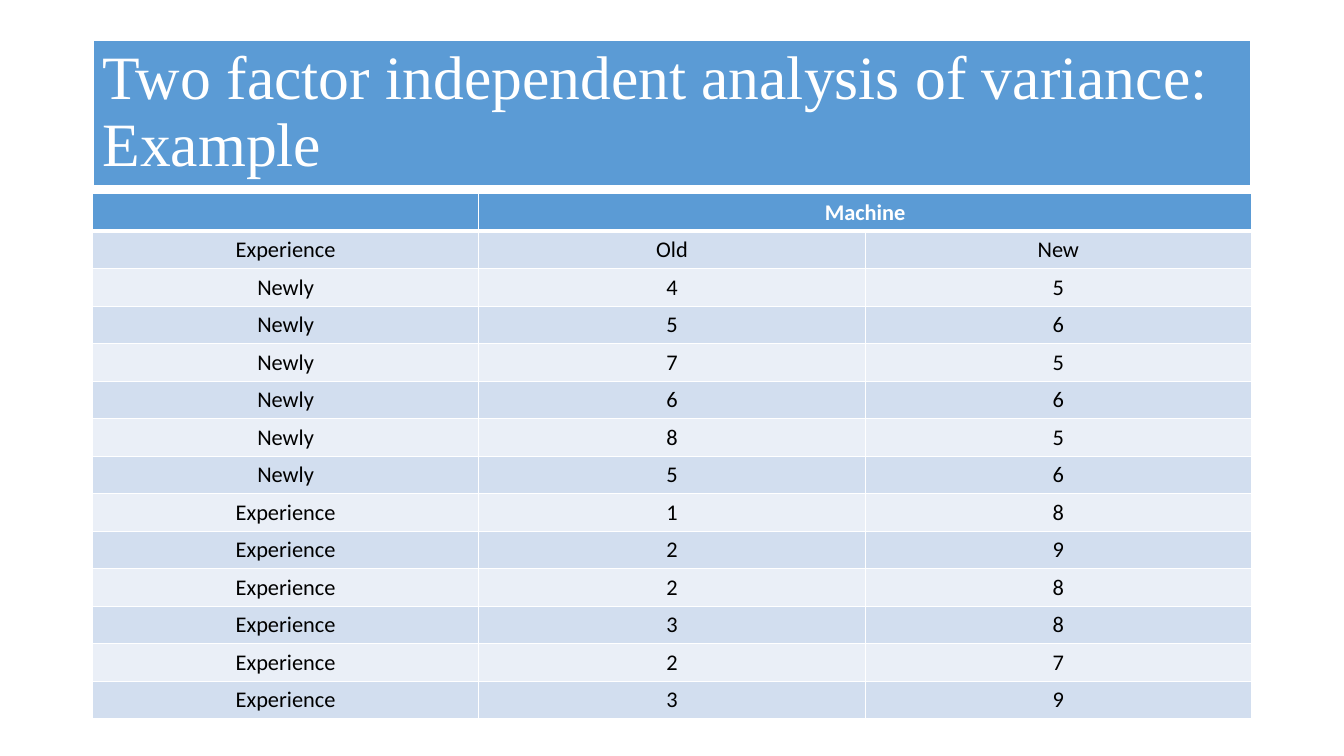
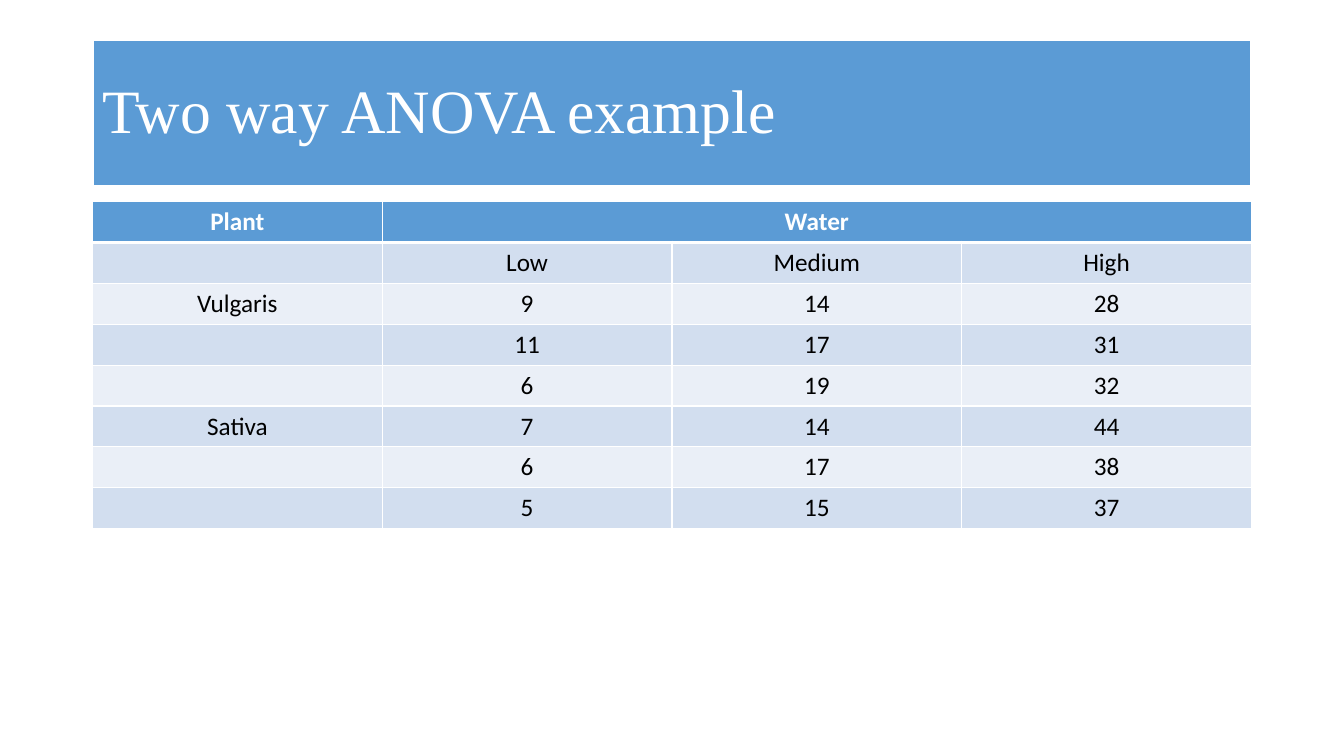
from pptx import Presentation
from pptx.dml.color import RGBColor as RGB
from pptx.enum.text import MSO_ANCHOR as Anchor, MSO_AUTO_SIZE as Auto, PP_ALIGN as Align
from pptx.oxml import parse_xml
from pptx.oxml.ns import nsdecls
from pptx.util import Cm, Pt


def color(code):
    return RGB.from_string(code)


def write(frame, text, font="Calibri", size=18, tint="000000", bold=False,
          align=Align.CENTER, space=1.0):
    par = frame.paragraphs[0]
    par.alignment, par.line_spacing = align, space
    if text:
        run = par.add_run()
        run.text = text
        run.font.name, run.font.size, run.font.bold = font, Pt(size), bold
        run.font.color.rgb = color(tint)
    else:
        # An empty cell must not be taller than its row
        par._p.get_or_add_endParaRPr().set("sz", str(size * 100))


def border(cell, side, width, tint):
    cell._tc.get_or_add_tcPr().append(parse_xml(
        f'<a:ln{side} {nsdecls("a")} w="{Pt(width)}"><a:solidFill>'
        f'<a:srgbClr val="{tint}"/></a:solidFill></a:ln{side}>'))


class Deck:
    blue, white = "5B9BD5", "FFFFFF"
    bands = ("EAEFF7", "D2DEEF")
    left, wide = 2.33, 29.21

    def __init__(self):
        self.prs = Presentation()
        self.prs.slide_width, self.prs.slide_height = Cm(33.87), Cm(19.05)

    def slide(self, text):
        self.page = self.prs.slides.add_slide(self.prs.slide_layouts[5])
        self.title(text)

    def title(self, text):
        box = self.page.shapes.title
        box.left, box.top = Cm(self.left), Cm(1.01)
        box.width, box.height = Cm(self.wide), Cm(3.68)
        box.fill.solid()
        box.fill.fore_color.rgb = color(self.blue)
        box.line.color.rgb = color(self.white)
        box.line.width = Pt(1.5)
        frame = box.text_frame
        frame.word_wrap, frame.auto_size = True, Auto.NONE
        frame.vertical_anchor = Anchor.MIDDLE
        write(frame, text, font="Times New Roman", size=44, tint=self.white,
              align=Align.LEFT, space=0.9)

    def table(self, rows, top, high, size):
        count = len(rows[-1])
        grid = self.page.shapes.add_table(
            len(rows), count, Cm(self.left), Cm(top),
            Cm(self.wide), Cm(high * len(rows))).table
        for row in grid.rows:
            row.height = Cm(high)
        for col in grid.columns:
            col.width = Cm(self.wide / count)
        # The second heading spans all value columns
        grid.cell(0, 1).merge(grid.cell(0, count - 1))
        for r, row in enumerate(rows):
            for c in range(count):
                self.cell(grid.cell(r, c), row[c] if c < len(row) else "", r, size)

    def cell(self, cell, text, row, size):
        head = row == 0
        for side, width in (("L", 1), ("R", 1), ("T", 3 if row == 1 else 1),
                            ("B", 3 if head else 1)):
            border(cell, side, width, self.white)
        cell.fill.solid()
        cell.fill.fore_color.rgb = color(self.blue if head else self.bands[row % 2])
        write(cell.text_frame, str(text), size=size, bold=head,
              tint=self.white if head else "000000")


deck = Deck()

# Machine and experience
deck.slide("Two factor independent analysis of variance: Example")
newly = [(4, 5), (5, 6), (7, 5), (6, 6), (8, 5), (5, 6)]
skilled = [(1, 8), (2, 9), (2, 8), (3, 8), (2, 7), (3, 9)]
rows = [("", "Machine"), ("Experience", "Old", "New")]
rows += [("Newly", *pair) for pair in newly]
rows += [("Experience", *pair) for pair in skilled]
deck.table(rows, top=4.88, high=0.93, size=16)

# Plant and water
deck.slide("Two way ANOVA example")
rows = [
    ("Plant", "Water"),
    ("", "Low", "Medium", "High"),
    ("Vulgaris", 9, 14, 28),
    ("", 11, 17, 31),
    ("", 6, 19, 32),
    ("Sativa", 7, 14, 44),
    ("", 6, 17, 38),
    ("", 5, 15, 37),
]
deck.table(rows, top=5.08, high=1.03, size=18)

deck.prs.save("out.pptx")
